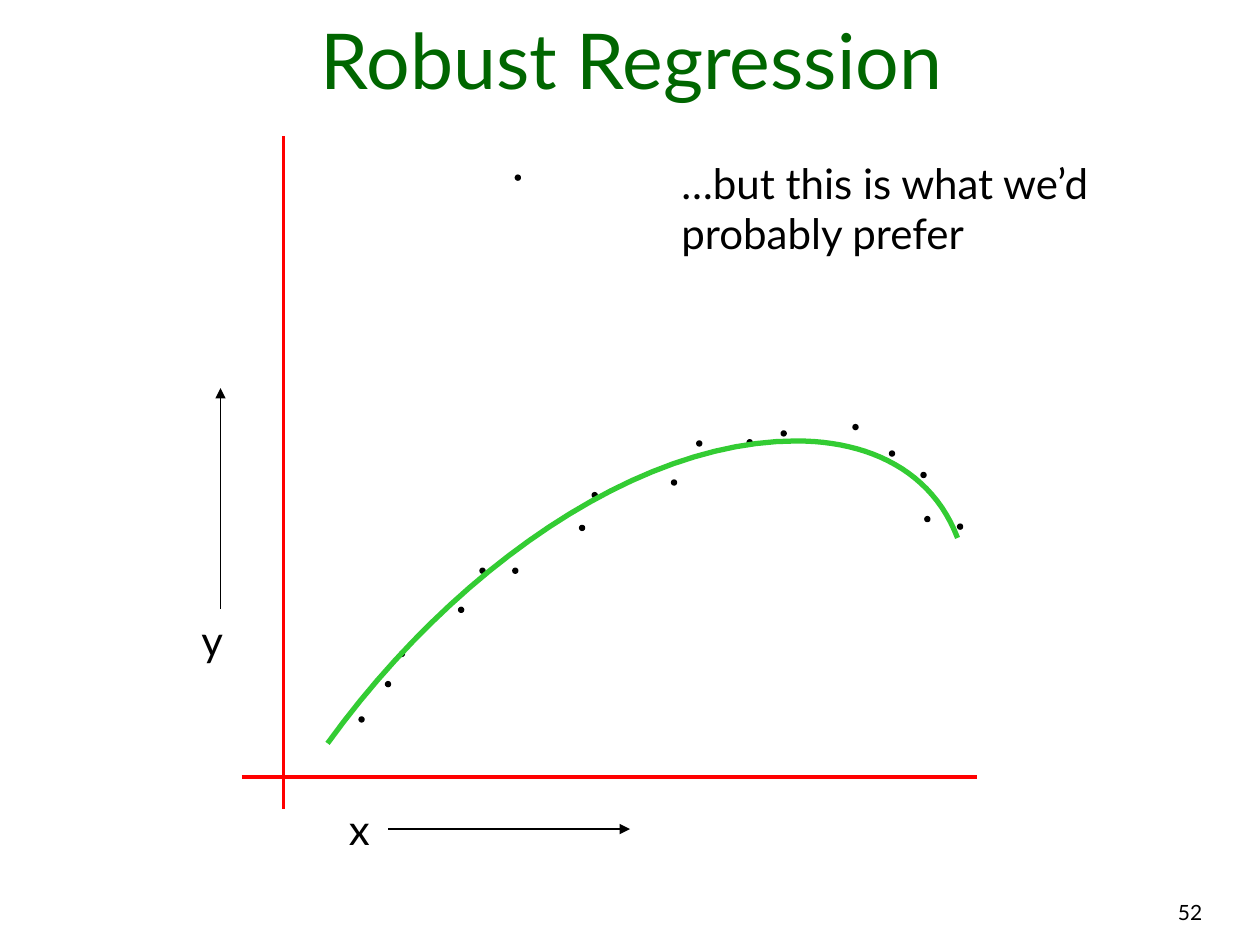
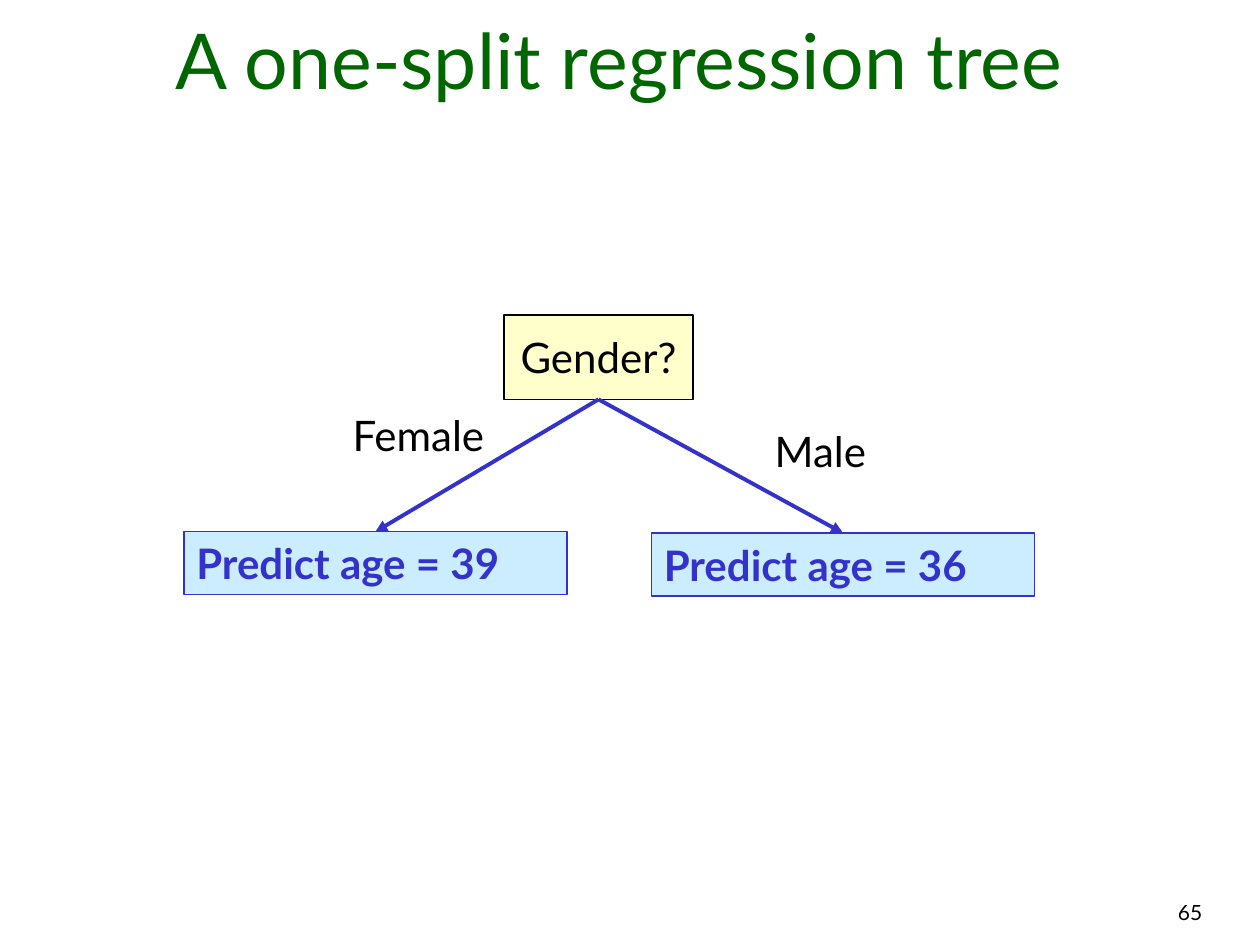
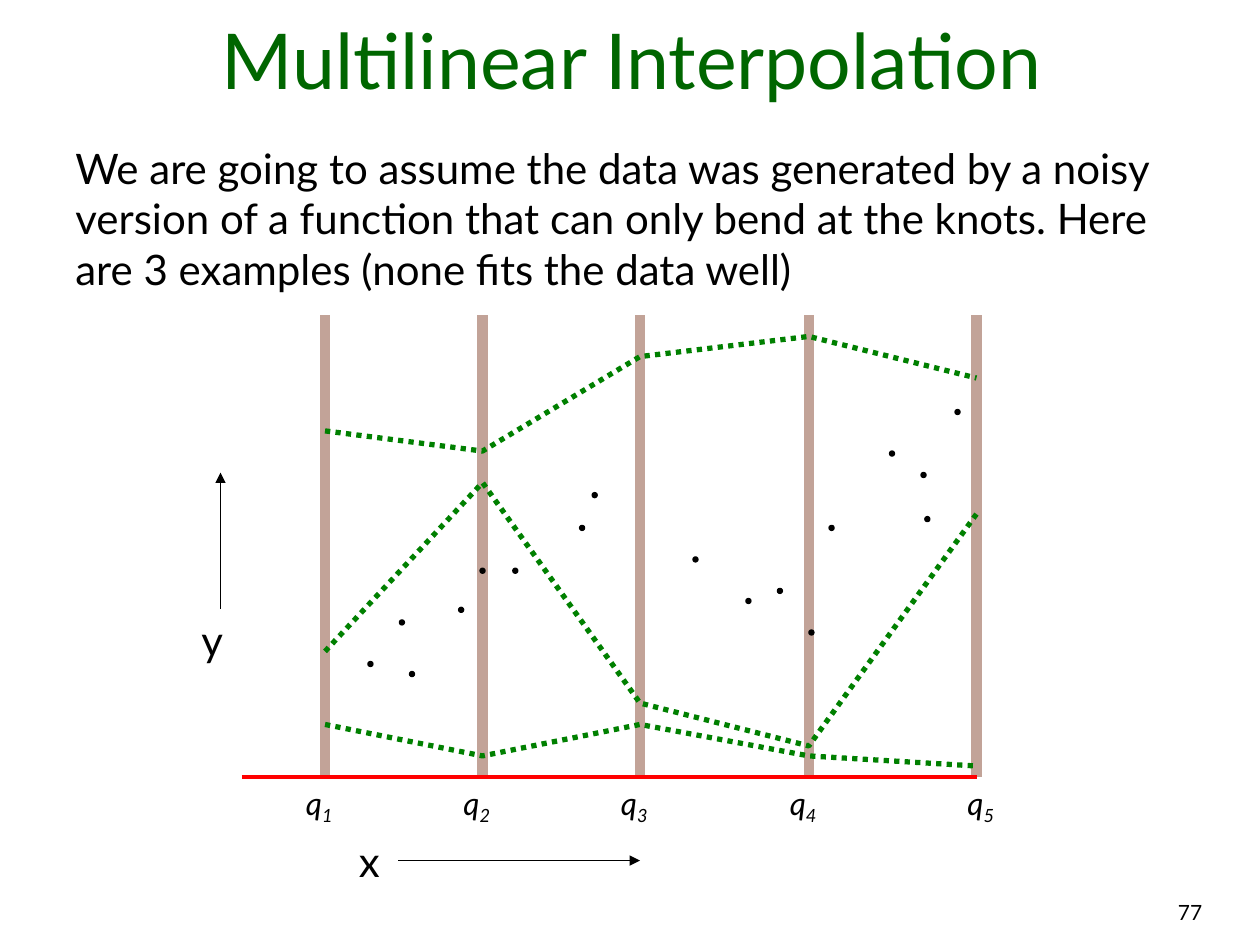
"""Build three slides on regression: a robust fit, a one-split tree and multilinear interpolation."""
import lxml.etree
import pptx
import pptx.dml.color
import pptx.enum.dml
import pptx.enum.shapes
import pptx.enum.text
import pptx.oxml.ns
import pptx.util

RGBColor = pptx.dml.color.RGBColor
PP_ALIGN = pptx.enum.text.PP_ALIGN
MSO_ANCHOR = pptx.enum.text.MSO_ANCHOR
MSO_SHAPE = pptx.enum.shapes.MSO_SHAPE

EMU_PER_PX = 9144
FONT = "Lato"
BLACK = RGBColor(0x00, 0x00, 0x00)
TITLE_GREEN = RGBColor(0x00, 0x66, 0x00)
CURVE_GREEN = RGBColor(0x33, 0xCC, 0x33)
DOTTED_GREEN = RGBColor(0x00, 0x80, 0x00)
RED = RGBColor(0xFF, 0x00, 0x00)
BLUE = RGBColor(0x33, 0x33, 0xCC)
PALE_BLUE = RGBColor(0xCC, 0xEC, 0xFF)
PALE_YELLOW = RGBColor(0xFF, 0xFF, 0xCC)
KNOT_BROWN = RGBColor(0xC2, 0xA3, 0x98)

SHARED_DOTS = [(706, 358), (460, 417), (364, 482), (407, 451),
               (734, 410), (470, 391), (381, 451), (731, 375)]
ROBUST_DOTS = [(317, 517), (285, 569), (760, 416), (593, 349), (677, 337),
               (533, 381), (409, 139), (306, 541), (553, 350), (620, 342)]
KNOT_DOTS = [(317, 492), (325, 533), (758, 325), (658, 417), (642, 500),
             (550, 442), (292, 525), (592, 475), (617, 467)]
FIT_BEZIERS = [[(760, 427), (740, 374), (690, 350), (632, 350)],
               [(632, 350), (505, 350), (360, 452), (260, 590)]]
KNOT_XS = [258, 383, 508, 642, 775]
KNOT_LABEL_XS = [233, 358, 483, 617, 758]
EXAMPLE_YS = [[517, 383, 558, 592, 408],
              [342, 358, 283, 267, 300],
              [575, 600, 575, 600, 608]]


def px(n):
    return pptx.util.Emu(round(n * EMU_PER_PX))


def bezier_points(controls, steps=24):
    points = []
    for i in range(steps + 1):
        t = i / steps
        weights = [(1 - t) ** 3, 3 * t * (1 - t) ** 2, 3 * t ** 2 * (1 - t), t ** 3]
        points.append(tuple(sum(w * c[axis] for w, c in zip(weights, controls))
                            for axis in (0, 1)))
    return points


class Deck:
    """Holds the presentation style and the current slide."""

    def __init__(self):
        self.prs = pptx.Presentation()
        self.prs.slide_width = px(1000)
        self.prs.slide_height = px(750)
        self.s = None

    def slide(self, title, number, title_width=953):
        self.s = self.prs.slides.add_slide(self.prs.slide_layouts[5])
        sp = self.s.shapes.title
        sp.left, sp.top, sp.width, sp.height = px(25), px(17), px(title_width), px(71)
        self.add_runs(sp.text_frame, [title], 44, TITLE_GREEN, PP_ALIGN.CENTER,
                      MSO_ANCHOR.BOTTOM)
        self.text(572, 709, 392, 33, [number], size=12, align=PP_ALIGN.RIGHT)

    def add_runs(self, tf, runs, size=24, color=BLACK, align=PP_ALIGN.LEFT,
                 anchor=MSO_ANCHOR.TOP, bold=False, italic=False, wrap=True):
        tf.word_wrap = wrap
        tf.auto_size = pptx.enum.text.MSO_AUTO_SIZE.NONE
        tf.vertical_anchor = anchor
        p = tf.paragraphs[0]
        p.alignment = align
        for text in runs:
            r = p.add_run()
            r.text = text
            r.font.name = FONT
            r.font.size = pptx.util.Pt(size)
            r.font.color.rgb = color
            r.font.bold = bold
            r.font.italic = italic
        return p

    def text(self, x, y, w, h, runs, **style):
        sp = self.s.shapes.add_textbox(px(x), px(y), px(w), px(h))
        return self.add_runs(sp.text_frame, runs, **style)

    def shape(self, kind, x, y, w, h, fill, line):
        sp = self.s.shapes.add_shape(kind, px(x), px(y), px(w), px(h))
        sp.shadow.inherit = False
        sp.fill.solid()
        sp.fill.fore_color.rgb = fill
        self.stroke(sp.line, line, 0.75)
        return sp

    def box(self, x, y, w, h, text, fill, line, **style):
        sp = self.shape(MSO_SHAPE.RECTANGLE, x, y, w, h, fill, line)
        self.add_runs(sp.text_frame, [text], **style)
        return sp

    def dots(self, places):
        for x, y in places:
            self.shape(MSO_SHAPE.OVAL, x, y, 4, 4, BLACK, BLACK)

    def stroke(self, line, color, width):
        line.color.rgb = color
        line.width = pptx.util.Pt(width)

    def line(self, x1, y1, x2, y2, color=BLACK, width=1, arrow=False):
        cxn = self.s.shapes.add_connector(pptx.enum.shapes.MSO_CONNECTOR.STRAIGHT,
                                          px(x1), px(y1), px(x2), px(y2))
        self.stroke(cxn.line, color, width)
        spPr = cxn._element.spPr
        if arrow:
            ln = spPr.find(pptx.oxml.ns.qn("a:ln"))
            lxml.etree.SubElement(ln, pptx.oxml.ns.qn("a:tailEnd"), type="triangle")
        lxml.etree.SubElement(spPr, pptx.oxml.ns.qn("a:effectLst"))
        return cxn

    def branch(self, parent, child):
        cxn = self.line(0, 0, 100, 100, BLUE, 2.25, arrow=True)
        cxn.begin_connect(parent, 2)
        cxn.end_connect(child, 0)

    def polyline(self, points, color, dotted=False):
        points = [(px(x), px(y)) for x, y in points]
        fb = self.s.shapes.build_freeform(*points[0])
        fb.add_line_segments(points[1:], close=False)
        sp = fb.convert_to_shape()
        sp.shadow.inherit = False
        sp.fill.background()
        self.stroke(sp.line, color, 3)
        if dotted:
            sp.line.dash_style = pptx.enum.dml.MSO_LINE.ROUND_DOT

    def axes(self, x_left, x_top, y_tip):
        self.line(192, 617, 775, 617, RED, 2.25)
        self.text(x_left, x_top, 50, 50, ["x"])
        self.line(x_left + 41, x_top + 25, x_left + 233, x_top + 25, arrow=True)
        self.text(150, 483, 50, 50, ["y"])
        self.line(175, 483, 175, y_tip, arrow=True)


def robust_regression(deck):
    deck.slide("Robust Regression", "52")
    deck.line(225, 108, 225, 642, RED, 2.25)
    deck.axes(267, 633, 308)
    deck.dots(SHARED_DOTS + ROBUST_DOTS)
    falling, rising = map(bezier_points, FIT_BEZIERS)
    deck.polyline(falling + rising[1:], CURVE_GREEN)
    deck.text(531, 120, 440, 90, ["…but this is what we’d probably prefer"])


def regression_tree(deck):
    deck.slide("A one-split regression tree", "65", title_width=933)
    root = deck.box(400, 250, 150, 67, "Gender?", PALE_YELLOW, BLACK,
                    align=PP_ALIGN.CENTER, anchor=MSO_ANCHOR.MIDDLE, wrap=False)
    for x, y, text in [(517, 423, "Predict age = 36"), (146, 422, "Predict age = 39")]:
        leaf = deck.box(x, y, 304, 50, text, PALE_BLUE, BLUE, color=BLUE, bold=True)
        deck.branch(root, leaf)
    deck.text(270, 320, 133, 50, ["Female"], wrap=False)
    deck.text(605, 333, 96, 50, ["Male"], wrap=False)


def multilinear_interpolation(deck):
    deck.slide("Multilinear Interpolation", "77")
    for x in KNOT_XS:
        deck.line(x, 617, x, 250, KNOT_BROWN, 6)
    deck.axes(275, 658, 375)
    deck.dots(SHARED_DOTS + KNOT_DOTS)
    deck.text(50, 108, 883, 130, [
        "We are going to assume the data was generated by a noisy version of a function "
        "that can only bend at the knots. Here are 3 examples (none fits the data well)"])
    for i, x in enumerate(KNOT_LABEL_XS, 1):
        p = deck.text(x, 617, 50, 44, ["q", str(i)], size=18, italic=True)
        p.runs[1]._r.get_or_add_rPr().set("baseline", "-25000")
    for ys in EXAMPLE_YS:
        deck.polyline(list(zip(KNOT_XS, ys)), DOTTED_GREEN, dotted=True)


def main():
    deck = Deck()
    robust_regression(deck)
    regression_tree(deck)
    multilinear_interpolation(deck)
    deck.prs.save("out.pptx")


if __name__ == "__main__":
    main()
